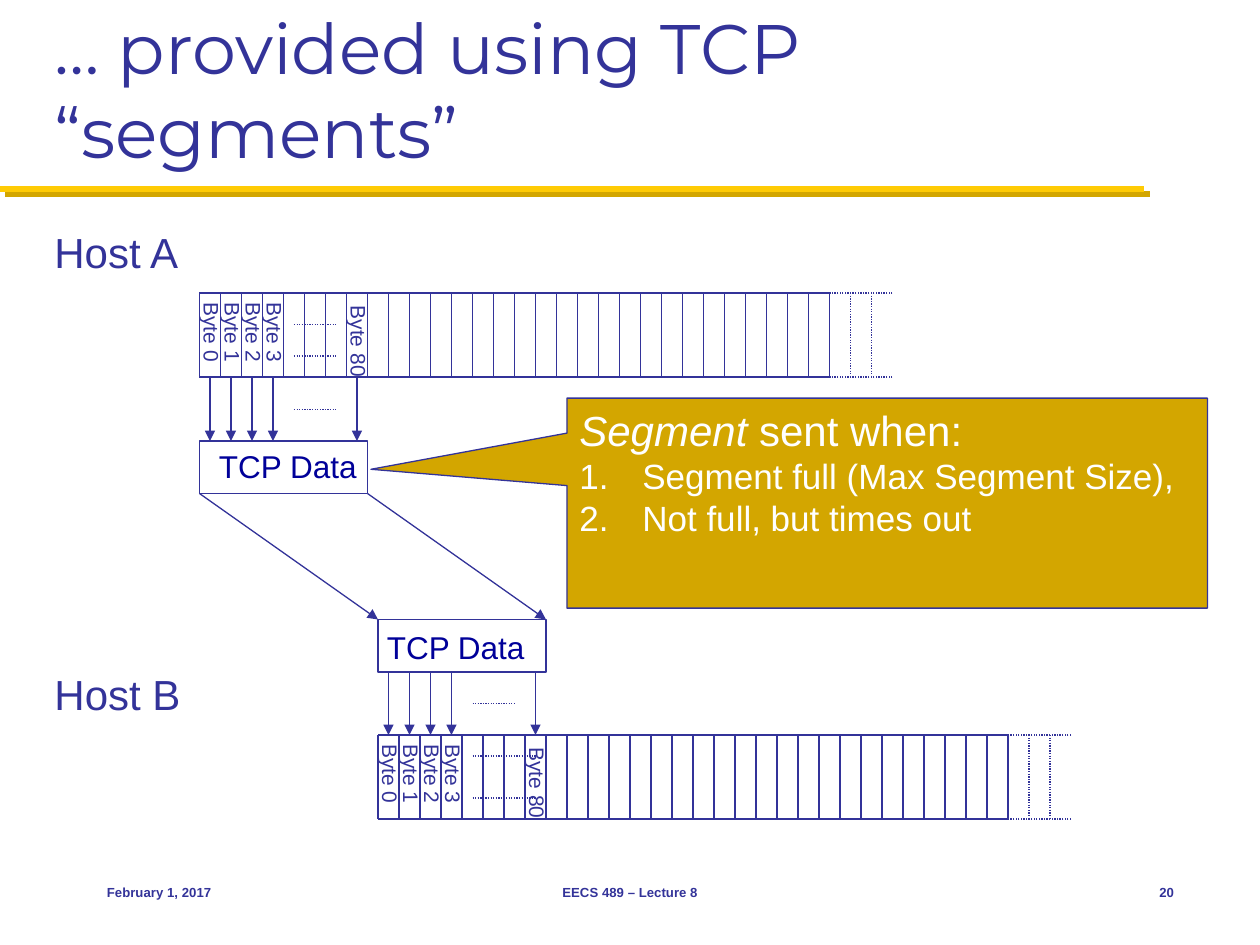
import pptx
import pptx.dml.color
import pptx.enum.dml
import pptx.enum.shapes
import pptx.enum.text
import pptx.oxml.ns
import pptx.util
import lxml.etree

Pt = pptx.util.Pt
ALIGN = pptx.enum.text.PP_ALIGN
ANCHOR = pptx.enum.text.MSO_ANCHOR
SHAPE = pptx.enum.shapes.MSO_SHAPE
BLUE, NAVY, GOLD, AMBER, WHITE = "333399", "000099", "D3A600", "FFCB05", "FFFFFF"
CELL, TALL, DROP = 12, 48, 36


def paint(hue):
    """Turn a hex string into a colour."""
    return pptx.dml.color.RGBColor.from_string(hue)


def nest(node, tag, **attrs):
    """Append a drawing element to a node."""
    return lxml.etree.SubElement(node, pptx.oxml.ns.qn(tag), attrs)


def style(runs, size, hue, face="Arial", bold=False):
    """Set the font of each run."""
    for run in runs:
        run.font.name, run.font.size, run.font.bold = face, Pt(size), bold
        run.font.color.rgb = paint(hue)


def line(slide, start, end, dots=False, arrow=False, hue=BLUE, width=0.75):
    """Draw a straight line and return its effect list."""
    link = slide.shapes.add_connector(
        pptx.enum.shapes.MSO_CONNECTOR.STRAIGHT, *(Pt(n) for n in (*start, *end)))
    link.line.color.rgb, link.line.width = paint(hue), Pt(width)
    if dots:
        link.line.dash_style = pptx.enum.dml.MSO_LINE.ROUND_DOT
    if arrow:
        nest(link.line._get_or_add_ln(), "a:tailEnd", type="triangle")
    return nest(link._element.spPr, "a:effectLst")


def rule(slide):
    """Draw the shaded rule below the title."""
    effects = line(slide, (0, 108), (654, 108), hue=AMBER, width=3.5)
    shade = nest(effects, "a:outerShdw", dist=str(Pt(4.2)), dir="2700000",
                 algn="ctr", rotWithShape="0")
    nest(shade, "a:srgbClr", val=GOLD)


def words(slide, text, area, size, hue=BLUE, face="Arial", bold=False,
          align=ALIGN.LEFT, anchor=ANCHOR.TOP):
    """Add a wrapped text box."""
    box = slide.shapes.add_textbox(*(Pt(n) for n in area))
    frame = box.text_frame
    frame.text, frame.word_wrap, frame.vertical_anchor = text, True, anchor
    frame.paragraphs[0].alignment = align
    style(frame.paragraphs[0].runs, size, hue, face, bold)
    return box


def label(slide, text, area, size, hue=BLUE, turn=0):
    """Add a one-line label that fits its text."""
    box = words(slide, text, area, size, hue)
    box.text_frame.word_wrap = False
    box.text_frame.auto_size = pptx.enum.text.MSO_AUTO_SIZE.SHAPE_TO_FIT_TEXT
    box.rotation = turn


def block(slide, kind, area, hue):
    """Add a filled shape with a thin outline."""
    shape = slide.shapes.add_shape(kind, *(Pt(n) for n in area))
    shape.shadow.inherit = False
    shape.fill.solid()
    shape.fill.fore_color.rgb = paint(hue)
    shape.line.color.rgb, shape.line.width = paint(BLUE), Pt(0.75)
    return shape


def stream(slide, left, top, rows, reach):
    """Draw a row of byte cells that trails off in dots."""
    solid, last, base = left + 30 * CELL, left + 33 * CELL, top + TALL
    for y in (top, base):
        line(slide, (left, y), (solid, y))
        line(slide, (last, y), (solid, y), dots=True)
    for col in range(33):
        x = left + col * CELL
        line(slide, (x, top), (x, base), dots=col > 30)
    for col, name, width, mid in ((0, "0", 49, 22.6), (1, "1", 49, 22.6),
                                  (2, "2", 49, 22.6), (3, "3", 49, 22.6),
                                  (7, "80", 55.4, 27.7)):
        x = left + (col + 0.5) * CELL + 1
        label(slide, "Byte " + name, (x - width / 2, top + mid - 10.9, width, 21.8),
              12, turn=89.8)
    for row in rows:
        line(slide, (left + 54, top + row), (left + reach, top + row), dots=True)


def flow(slide, left, top):
    """Draw the arrows between byte cells and a packet."""
    for col in (0, 1, 2, 3, 7):
        x = left + (col + 0.5) * CELL
        line(slide, (x, top), (x, top + DROP), arrow=True)
    line(slide, (left + 54, top + DROP / 2), (left + 78, top + DROP / 2), dots=True)


def packet(slide, left, top, text_left, text_top):
    """Draw a packet and its label."""
    block(slide, SHAPE.RECTANGLE, (left, top, 96, 30), WHITE)
    label(slide, "TCP Data", (text_left, text_top, 94.3, 29), 18, NAVY)


def callout(slide):
    """Add the callout that tells when a segment is sent."""
    shape = block(slide, SHAPE.RECTANGULAR_CALLOUT, (324, 227.5, 366, 120), GOLD)
    shape.adjustments[0], shape.adjustments[1] = -0.806, -0.161
    frame = shape.text_frame
    frame.vertical_anchor = ANCHOR.TOP
    head = frame.paragraphs[0]
    head.text = "Segment "
    head.add_run().text = "sent when:"
    for text in ("Segment full (Max Segment Size),", "Not full, but times out"):
        frame.add_paragraph().text = text
    for para in frame.paragraphs:
        para.alignment = ALIGN.LEFT
        props = para._p.get_or_add_pPr()
        props.set("marL", str(Pt(36)))
        props.set("indent", str(-Pt(36)))
        if para.text != "Segment sent when:":
            nest(props, "a:buFont", typeface="+mj-lt")
            nest(props, "a:buAutoNum", type="arabicPeriod")
        style(para.runs, 20 if len(para.runs) == 1 else 24, WHITE)
    head.runs[0].font.italic = True


def main():
    """Build and save the slide."""
    deck = pptx.Presentation()
    deck.slide_width, deck.slide_height = Pt(720), Pt(540)
    slide = deck.slides.add_slide(deck.slide_layouts[6])
    rule(slide)
    words(slide, "… provided using TCP “segments”", (24, 12, 672, 90), 40,
          face="Montserrat", anchor=ANCHOR.BOTTOM)
    stream(slide, 114, 167.5, (18, 36), 78)
    stream(slide, 216, 420, (12, 36), 90)
    label(slide, "Host A", (24, 126, 86.4, 36), 24)
    label(slide, "Host B", (24, 378.7, 87, 36), 24)
    packet(slide, 114, 252, 118, 252)
    packet(slide, 216, 354, 214, 355.5)
    for x in (114, 210):
        line(slide, (x, 282), (x + 102, 354), arrow=True)
    flow(slide, 114, 216)
    flow(slide, 216, 384)
    callout(slide)
    for text, left, width, align in (("February 1, 2017", 54, 150, ALIGN.LEFT),
                                     ("EECS 489 – Lecture 8", 246, 228, ALIGN.CENTER),
                                     ("20", 630, 48, ALIGN.RIGHT)):
        words(slide, text, (left, 492, width, 36), 7.5, bold=True, align=align,
              anchor=ANCHOR.MIDDLE)
    deck.save("out.pptx")


if __name__ == "__main__":
    main()
